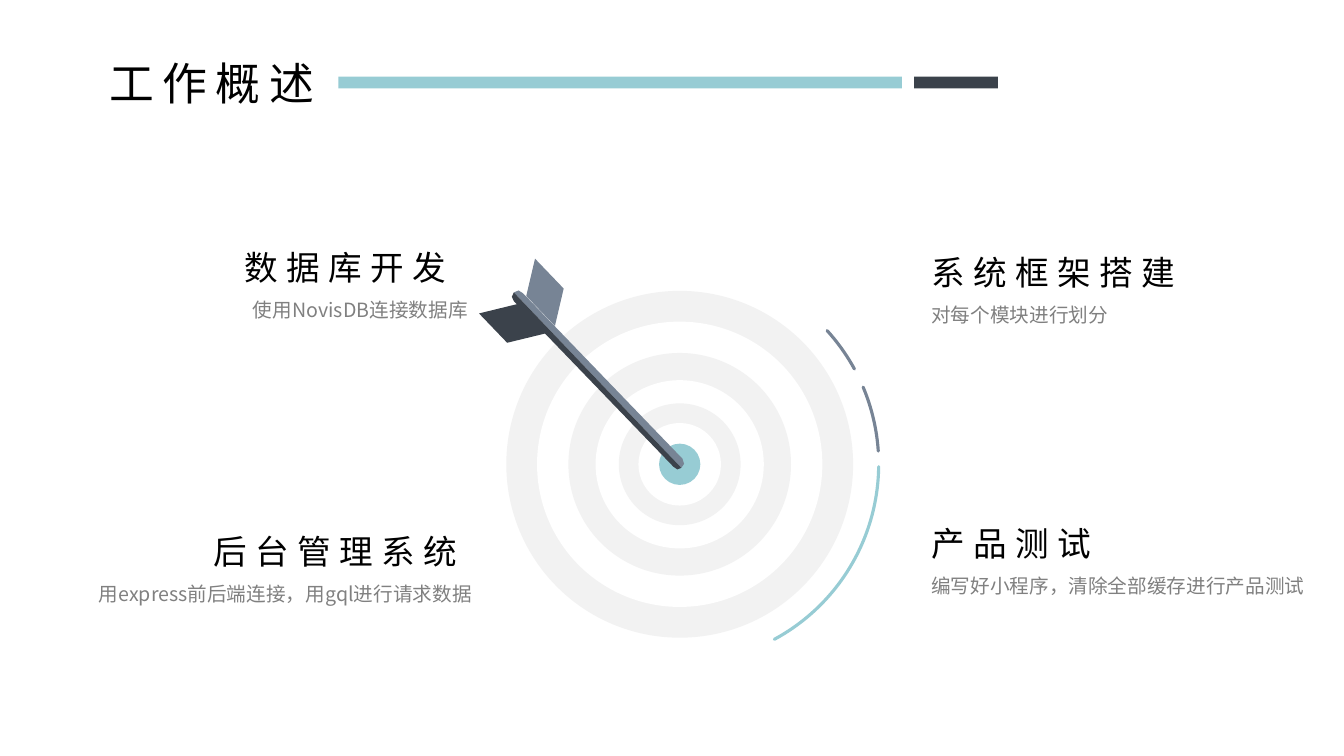
from pptx import Presentation
from pptx import util as u
from pptx.dml import color
from pptx.enum import shapes, text
from pptx.oxml import ns
from lxml import etree

FONT = "Noto Sans CJK SC"
TEAL, DARK, SLATE = "97CCD4", "3B424B", "778495"
PALE, WHITE, BLACK, GREY = "F2F2F2", "FFFFFF", "000000", "808080"
MID = (17.13, 11.7)
KIND = shapes.MSO_SHAPE
ALIGN = text.PP_ALIGN


def rgb(code):
    """Turn a hex string into a colour."""
    return color.RGBColor.from_string(code)


def paint(shape, code):
    """Fill a shape flat, without line or shadow."""
    shape.shadow.inherit = False
    shape.fill.solid()
    shape.fill.fore_color.rgb = rgb(code)
    shape.line.fill.background()


def block(slide, kind, box, code):
    """Add a filled preset shape."""
    shape = slide.shapes.add_shape(kind, *map(u.Cm, box))
    paint(shape, code)
    return shape


def ring(slide, size, code):
    """Add a disc centred on the target."""
    x, y = (c - size / 2 for c in MID)
    block(slide, KIND.OVAL, (x, y, size, size), code)


def arc(slide, start, end, code, size=10.03):
    """Add an arc around the target, with angles in degrees."""
    x, y = (c - size / 2 for c in MID)
    shape = slide.shapes.add_shape(KIND.ARC, *map(u.Cm, (x, y, size, size)))
    shape.shadow.inherit = False
    shape.adjustments[0] = start * 0.6
    shape.adjustments[1] = end * 0.6
    shape.fill.background()
    shape.line.color.rgb = rgb(code)
    shape.line.width = u.Pt(2.25)
    shape.line._get_or_add_ln().set("cap", "rnd")


def shaft(slide, points, code):
    """Add one half of the dart's shaft."""
    first, *rest = [(u.Cm(x), u.Cm(y)) for x, y in points]
    form = slide.shapes.build_freeform(*first)
    form.add_line_segments(rest)
    paint(form.convert_to_shape(), code)


def vane(slide, box, slant, code, flip=False):
    """Add one feather of the dart."""
    shape = block(slide, KIND.PARALLELOGRAM, box, code)
    shape.adjustments[0] = slant
    shape.rotation = 46.2
    if flip:
        shape._element.spPr.xfrm.set("flipV", "1")


def label(slide, box, words, size, code, wrap=False, side=ALIGN.LEFT):
    """Add a text box: spaced heading, or wrapped body."""
    frame = slide.shapes.add_textbox(*map(u.Cm, box)).text_frame
    frame.text = words
    frame.word_wrap = wrap
    frame.auto_size = text.MSO_AUTO_SIZE.SHAPE_TO_FIT_TEXT
    para = frame.paragraphs[0]
    para.alignment = side
    run = para.runs[0]
    run.font.size = u.Pt(size)
    run.font.color.rgb = rgb(code)
    run.font.name = FONT
    props = run.font._element
    etree.SubElement(props, ns.qn("a:ea")).set("typeface", FONT)
    if wrap:
        para.line_spacing = 1.25
    else:
        props.set("spc", "600")


def topic(slide, top, head, body, side):
    """Add a heading with its body text; each is (left, width, words)."""
    x, w, words = body
    label(slide, (x, top + 1.14, w, 0.94), words, 14, GREY, True, side)
    x, w, words = head
    label(slide, (x, top, w, 1.27), words, 24, BLACK)


def target(slide):
    """Draw the target with its arcs and dart."""
    arc(slide, 337.2, 356.2, SLATE)
    arc(slide, 0.7, 61.6, TEAL)
    arc(slide, 317.8, 331.4, SLATE)
    for i, size in enumerate((8.74, 7.19, 5.61, 4.24, 3.07, 2.08)):
        ring(slide, size, WHITE if i % 2 else PALE)
    ring(slide, 1.04, TEAL)
    tail, tip = (12.95, 7.37), (17.17, 11.79)
    shaft(slide, [tail, tip, (17.24, 11.69), (17.2, 11.56),
                  (13.18, 7.39), (13.07, 7.32)], SLATE)
    shaft(slide, [tail, tip, (17.07, 11.83), (16.97, 11.76),
                  (12.95, 7.59), (12.9, 7.48)], DARK)
    vane(slide, (12.17, 7.67, 1.57, 0.94), 0.58, DARK)
    vane(slide, (12.95, 6.96, 1.57, 0.81), 0.65, SLATE, True)


def main():
    """Build the slide and save it."""
    deck = Presentation()
    deck.slide_width, deck.slide_height = u.Cm(33.87), u.Cm(19.05)
    slide = deck.slides.add_slide(deck.slide_layouts[6])
    label(slide, (2.51, 1.27, 5.92, 1.63), "工作概述", 32, BLACK)
    block(slide, KIND.RECTANGLE, (8.53, 1.93, 14.2, 0.3), TEAL)
    block(slide, KIND.RECTANGLE, (23.04, 1.93, 2.11, 0.3), DARK)
    target(slide)
    topic(slide, 6.1, (5.92, 5.87, "数据库开发"),
          (5.59, 6.45, "使用NovisDB连接数据库"), ALIGN.RIGHT)
    topic(slide, 13.26, (5.13, 6.93, "后台管理系统"),
          (2.08, 10.06, "用express前后端连接，用gql进行请求数据"), ALIGN.RIGHT)
    topic(slide, 6.22, (23.22, 6.93, "系统框架搭建"),
          (23.22, 7.37, "对每个模块进行划分"), ALIGN.LEFT)
    topic(slide, 13.06, (23.22, 4.78, "产品测试"),
          (23.22, 10.21, "编写好小程序，清除全部缓存进行产品测试"), ALIGN.LEFT)
    deck.save("out.pptx")


if __name__ == "__main__":
    main()
